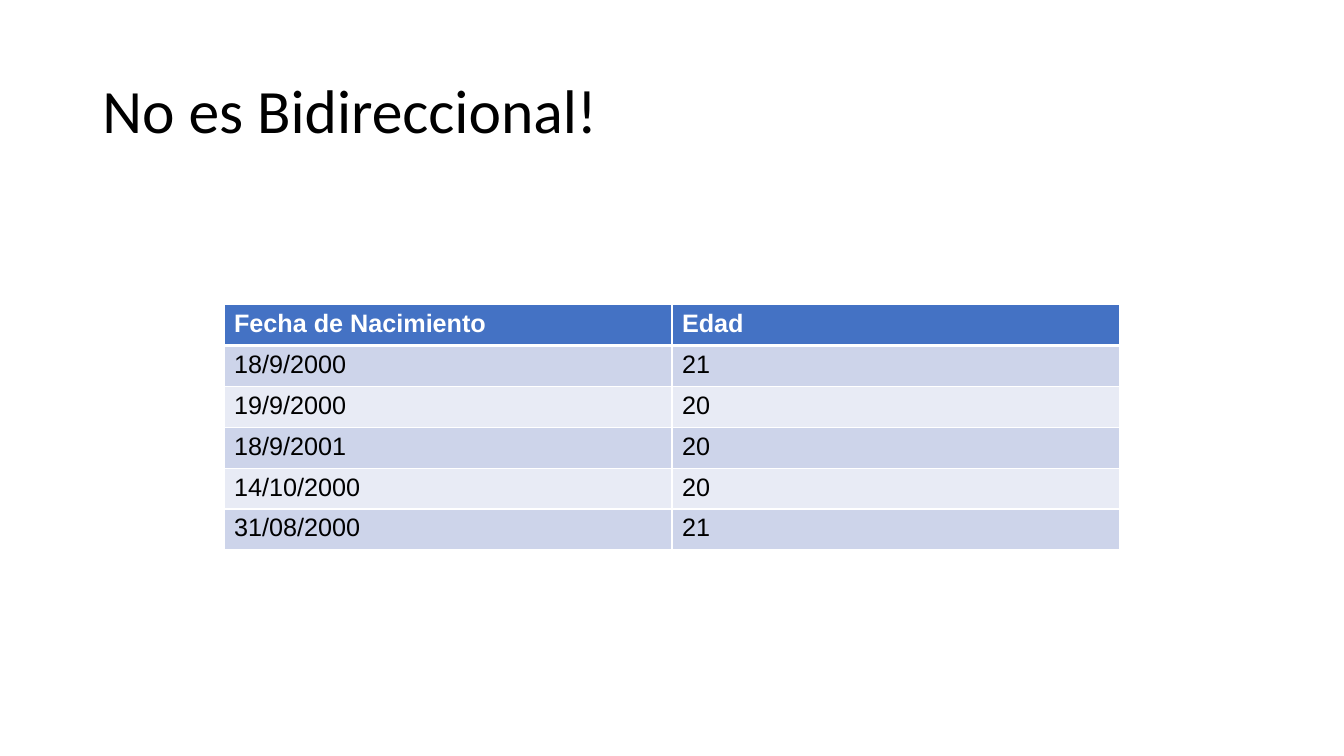
from lxml.etree import SubElement
from pptx import Presentation
from pptx.dml.color import RGBColor
from pptx.enum.text import MSO_ANCHOR as Anchor, PP_ALIGN as Align
from pptx.oxml.ns import qn
from pptx.util import Pt

COLORS = {
    "text": "000000",
    "white": "FFFFFF",
    "header": "4472C4",
    "odd": "CDD4EA",
    "even": "E8EBF5",
}
AGES = [
    ("Fecha de Nacimiento", "Edad"),
    ("18/9/2000", "21"),
    ("19/9/2000", "20"),
    ("18/9/2001", "20"),
    ("14/10/2000", "20"),
    ("31/08/2000", "21"),
]


def color(name):
    """Return the named colour."""
    return RGBColor.from_string(COLORS[name])


def format_font(font, color_name, **values):
    """Set a font's colour and its other format values."""
    font.color.rgb = color(color_name)
    for attribute, value in values.items():
        setattr(font, attribute, value)


def add_title(slide, text):
    """Place and format the slide title."""
    title = slide.shapes.title
    box = {"left": 66, "top": 28.8, "width": 828, "height": 104.4}
    for side, length in box.items():
        setattr(title, side, Pt(length))
    frame = title.text_frame
    frame.text = text
    frame.vertical_anchor = Anchor.MIDDLE
    heading = frame.paragraphs[0]
    heading.alignment = Align.LEFT
    heading.line_spacing = 0.9
    format_font(heading.runs[0].font, "text", name="Calibri", size=Pt(44))


def add_border(cell, side, width):
    """Draw one white border of a cell."""
    properties = cell._tc.get_or_add_tcPr()
    line = SubElement(properties, qn(f"a:ln{side}"), w=str(Pt(width)))
    fill = SubElement(line, qn("a:solidFill"))
    SubElement(fill, qn("a:srgbClr"), val=COLORS["white"])


def fill_cell(cell, text, row):
    """Write and format one cell according to its row."""
    is_header = row == 0
    widths = {"L": 1, "R": 1, "T": 3 if row == 1 else 1, "B": 3 if is_header else 1}
    for side, width in widths.items():
        add_border(cell, side, width)
    cell.fill.solid()
    cell.fill.fore_color.rgb = color(
        "header" if is_header else "odd" if row % 2 else "even")
    cell.text = text
    format_font(cell.text_frame.paragraphs[0].runs[0].font,
                "white" if is_header else "text",
                name="Arial", size=Pt(18), bold=is_header)


def add_age_table(slide, records):
    """Add the table of birth dates and ages."""
    table = slide.shapes.add_table(
        len(records), len(records[0]),
        Pt(160), Pt(217.6), Pt(640), Pt(29.2 * len(records))).table
    for row, record in enumerate(records):
        for column, text in enumerate(record):
            fill_cell(table.cell(row, column), text, row)


def main():
    """Build and save the slide."""
    deck = Presentation()
    deck.slide_width, deck.slide_height = Pt(960), Pt(540)
    slide = deck.slides.add_slide(deck.slide_layouts[5])
    add_title(slide, "No es Bidireccional!")
    add_age_table(slide, AGES)
    deck.save("out.pptx")


if __name__ == "__main__":
    main()
